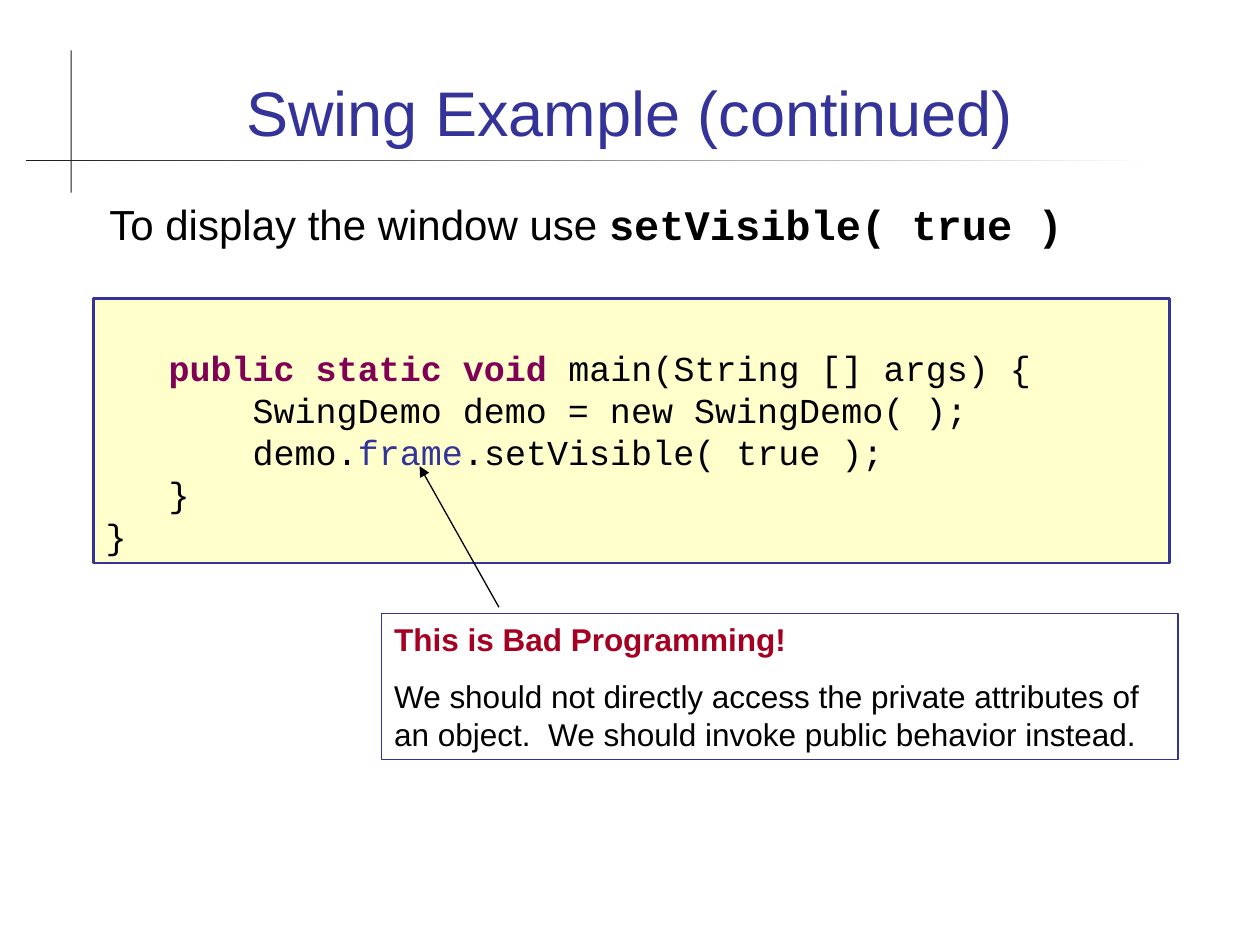
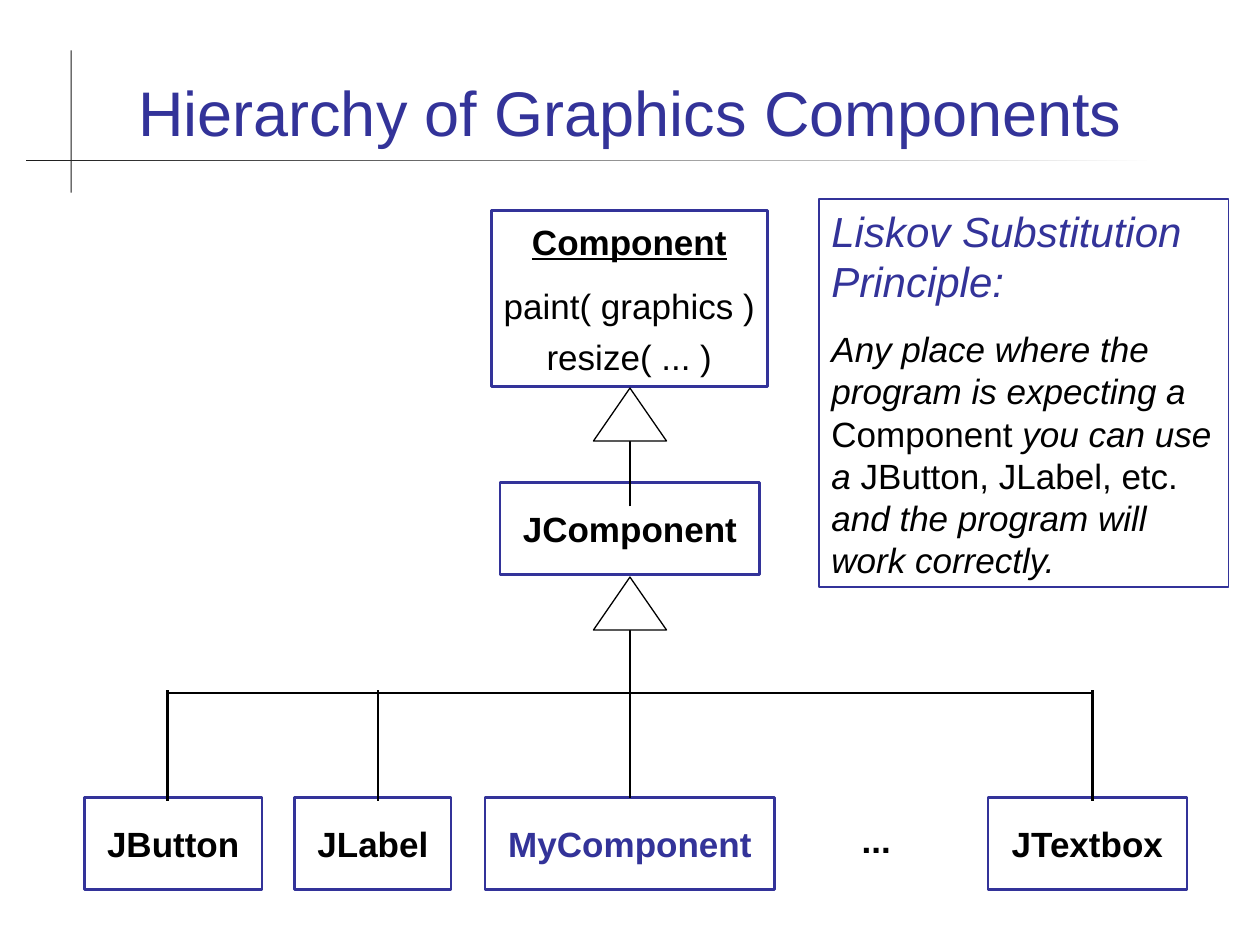
from dataclasses import dataclass
from typing import NamedTuple, Optional

from lxml.etree import SubElement
from pptx import Presentation
from pptx.dml.color import RGBColor
from pptx.enum.shapes import MSO_CONNECTOR as Link, MSO_SHAPE as Form
from pptx.enum.text import MSO_ANCHOR as Anchor, PP_ALIGN as Align
from pptx.oxml.ns import qn
from pptx.shapes.autoshape import Shape
from pptx.shapes.connector import Connector
from pptx.slide import Slide
from pptx.text.text import TextFrame
from pptx.util import Inches, Pt

BLACK = RGBColor(0x00, 0x00, 0x00)
WHITE = RGBColor(0xFF, 0xFF, 0xFF)
DARK = RGBColor(0x1C, 0x1C, 0x1C)
BLUE = RGBColor(0x33, 0x33, 0x99)
CREAM = RGBColor(0xFF, 0xFF, 0xCC)
PLUM = RGBColor(0x7F, 0x00, 0x55)
RED = RGBColor(0xA5, 0x00, 0x21)

SANS = "Arial"
MONO = "Courier New"
LEADING = 1.2
TAB = 0.49


class Area(NamedTuple):
    left: float
    top: float
    width: float
    height: float


class Bit(NamedTuple):
    """A stretch of text in one style."""
    text: str
    color: RGBColor = BLACK
    bold: bool = False
    italic: bool = False
    under: bool = False
    font: str = SANS


class Para(NamedTuple):
    bits: list[Bit]
    size: float = 20
    before: float = 0
    align: Align = Align.LEFT
    tabs: int = 0
    margin: float = 0
    indent: float = 0


@dataclass
class Box:
    area: Area
    paras: list[Para]
    line: Optional[RGBColor] = BLUE
    weight: float = 1.5
    fill: Optional[RGBColor] = None
    pad: tuple[float, float] = (0.1, 0.05)
    head: float = 0
    wrap: bool = True
    anchor: Anchor = Anchor.TOP


class Child(NamedTuple):
    """A leaf of the tree and the x of the line that drops to it."""
    name: str
    left: float
    width: float
    drop: float
    color: RGBColor = BLACK


def add_form(slide: Slide, form: Form, area: Area) -> Shape:
    shape = slide.shapes.add_shape(form, *map(Inches, area))
    shape.shadow.inherit = False
    return shape


def paint(shape: Shape, fill: Optional[RGBColor], line: Optional[RGBColor],
          weight: float = 0.75) -> None:
    if fill is None:
        shape.fill.background()
    else:
        shape.fill.solid()
        shape.fill.fore_color.rgb = fill
    if line is None:
        shape.line.fill.background()
    else:
        shape.line.color.rgb = line
        shape.line.width = Pt(weight)


def write(frame: TextFrame, paras: list[Para]) -> None:
    for i, para in enumerate(paras):
        item = frame.add_paragraph() if i else frame.paragraphs[0]
        props = item._p.get_or_add_pPr()
        props.set("marL", str(Inches(para.margin)))
        props.set("indent", str(Inches(para.indent)))
        if para.tabs:
            stops = SubElement(props, qn("a:tabLst"))
            for n in range(1, para.tabs + 1):
                SubElement(stops, qn("a:tab"), pos=str(Inches(n * TAB)), algn="l")
        item.alignment = para.align
        item.line_spacing = Pt(para.size * LEADING)
        if i:
            item.space_before = Pt(para.before)
        for bit in para.bits:
            run = item.add_run()
            run.text = bit.text
            font = run.font
            font.name, font.size = bit.font, Pt(para.size)
            font.bold, font.italic, font.underline = bit.bold, bit.italic, bit.under
            font.color.rgb = bit.color


def add_box(slide: Slide, box: Box) -> Shape:
    if box.line is None:
        shape = slide.shapes.add_textbox(*map(Inches, box.area))
    else:
        shape = add_form(slide, Form.RECTANGLE, box.area)
        paint(shape, box.fill, box.line, box.weight)
    frame = shape.text_frame
    frame.word_wrap = box.wrap
    frame.vertical_anchor = box.anchor
    side, edge = box.pad
    frame.margin_left = frame.margin_right = Inches(side)
    frame.margin_top, frame.margin_bottom = Inches(edge + box.head), Inches(edge)
    write(frame, box.paras)
    return shape


def add_line(slide: Slide, x1: float, y1: float, x2: float, y2: float,
             weight: float = 1.5, arrow: bool = False) -> Connector:
    line = slide.shapes.add_connector(
        Link.STRAIGHT, *map(Inches, (x1, y1, x2, y2)))
    line.line.color.rgb = BLACK
    line.line.width = Pt(weight)
    props = line._element.spPr
    if arrow:
        SubElement(props.find(qn("a:ln")), qn("a:tailEnd"), type="triangle")
    SubElement(props, qn("a:effectLst"))
    return line


def add_slide(deck: Presentation, title: str) -> Slide:
    """Start a slide with the crossed rules and its title."""
    slide = deck.slides.add_slide(deck.slide_layouts[6])
    post = add_form(slide, Form.RECTANGLE, Area(0.56, 0.4, 0.01, 1.13))
    paint(post, DARK, None)
    rule = add_form(slide, Form.RECTANGLE, Area(0.21, 1.27, 8.97, 0.01))
    paint(rule, None, None)
    rule.fill.gradient()
    rule.fill.gradient_angle = 180
    for stop, color in zip(rule.fill.gradient_stops, (WHITE, DARK)):
        stop.color.rgb = color
    add_box(slide, Box(Area(0.67, 0.28, 8.66, 0.95),
                       [Para([Bit(title, BLUE)], 36, align=Align.CENTER)],
                       line=None, anchor=Anchor.BOTTOM))
    return slide


def code(*bits: Bit) -> Para:
    return Para([bit._replace(font=MONO) for bit in bits], tabs=2)


def node(area: Area, name: str, color: RGBColor = BLACK,
         line: Optional[RGBColor] = BLUE) -> Box:
    label = Para([Bit(name, color, bold=True)], align=Align.CENTER)
    return Box(area, [label], line, pad=(0.18, 0.2), wrap=False)


def add_swing(deck: Presentation) -> None:
    slide = add_slide(deck, "Swing Example (continued)")
    intro = Para([Bit("To display the window use "),
                  Bit("setVisible( true )", bold=True, font=MONO)],
                 24, margin=0.38, indent=-0.35)
    add_box(slide, Box(Area(0.74, 1.53, 8.66, 0.77), [intro], line=None))
    add_box(slide, Box(Area(0.74, 2.37, 8.54, 2.1), [
        code(Bit("\tpublic static void", PLUM, bold=True),
             Bit(" main(String [] args) {")),
        code(Bit("\t\t SwingDemo demo = new SwingDemo( );")),
        code(Bit("\t\t demo."), Bit("frame", BLUE),
             Bit(".setVisible( true );")),
        code(Bit("\t}")),
        code(Bit("}")),
    ], fill=CREAM, head=0.33))
    add_box(slide, Box(Area(3.03, 4.87, 6.32, 1.16), [
        Para([Bit("This is Bad Programming!", RED, bold=True)], 18),
        Para([Bit("We should not directly access the private attributes of "
                  "an object.  We should invoke public behavior instead.")],
             18, 11.2),
    ], weight=0.75))
    add_line(slide, 3.96, 4.82, 3.33, 3.7, 0.75, arrow=True)


def add_tree(deck: Presentation) -> None:
    slide = add_slide(deck, "Hierarchy of Graphics Components")
    mid, rail, row, high = 5, 5.5, 6.33, 0.73
    kids = [
        Child("JButton", 0.67, 1.41, 1.33),
        Child("JLabel", 2.34, 1.24, 3),
        Child("MyComponent", 3.85, 2.3, mid, BLUE),
        Child("JTextbox", 7.84, 1.58, 8.67),
    ]
    add_box(slide, Box(Area(3.9, 1.67, 2.19, 1.4), [
        Para([Bit("Component", bold=True, under=True)], align=Align.CENTER),
        Para([Bit("paint( graphics )")], before=12.5, align=Align.CENTER),
        Para([Bit("resize( ... )")], before=5, align=Align.CENTER),
    ], pad=(0.1, 0.08), wrap=False))
    add_box(slide, node(Area(3.97, 3.83, 2.06, high), "JComponent"))
    add_box(slide, node(Area(6.58, row, 0.75, high), "...", line=None))
    for kid in kids:
        leaf = add_box(slide, node(Area(kid.left, row, kid.width, high),
                                   kid.name, kid.color))
        drop = add_line(slide, kid.drop, rail - 0.02, kid.drop, row + 0.03)
        if kid.drop == mid:
            drop.end_connect(leaf, 0)
    add_line(slide, kids[0].drop, rail, kids[-1].drop, rail)

    for tip, foot in ((4.58, 5.52), (3.08, 4.02)):
        add_line(slide, mid, foot, mid, tip + 0.31)
        head = add_form(slide, Form.ISOSCELES_TRIANGLE,
                        Area(mid - 0.29, tip, 0.58, 0.42))
        paint(head, WHITE, BLACK)

    add_box(slide, Box(Area(6.5, 1.58, 3.25, 3.08), [
        Para([Bit("Liskov Substitution Principle:", BLUE, italic=True)], 24),
        Para([Bit("Any place where the program is expecting a ", italic=True),
              Bit("Component "),
              Bit("you can use a ", italic=True),
              Bit("JButton, JLabel, etc. "),
              Bit("and the program will work correctly.", italic=True)],
             before=12.5),
    ], weight=0.75))


def main() -> None:
    deck = Presentation()
    deck.slide_width, deck.slide_height = Inches(10), Inches(7.5)
    add_swing(deck)
    add_tree(deck)
    deck.save("out.pptx")


if __name__ == "__main__":
    main()
